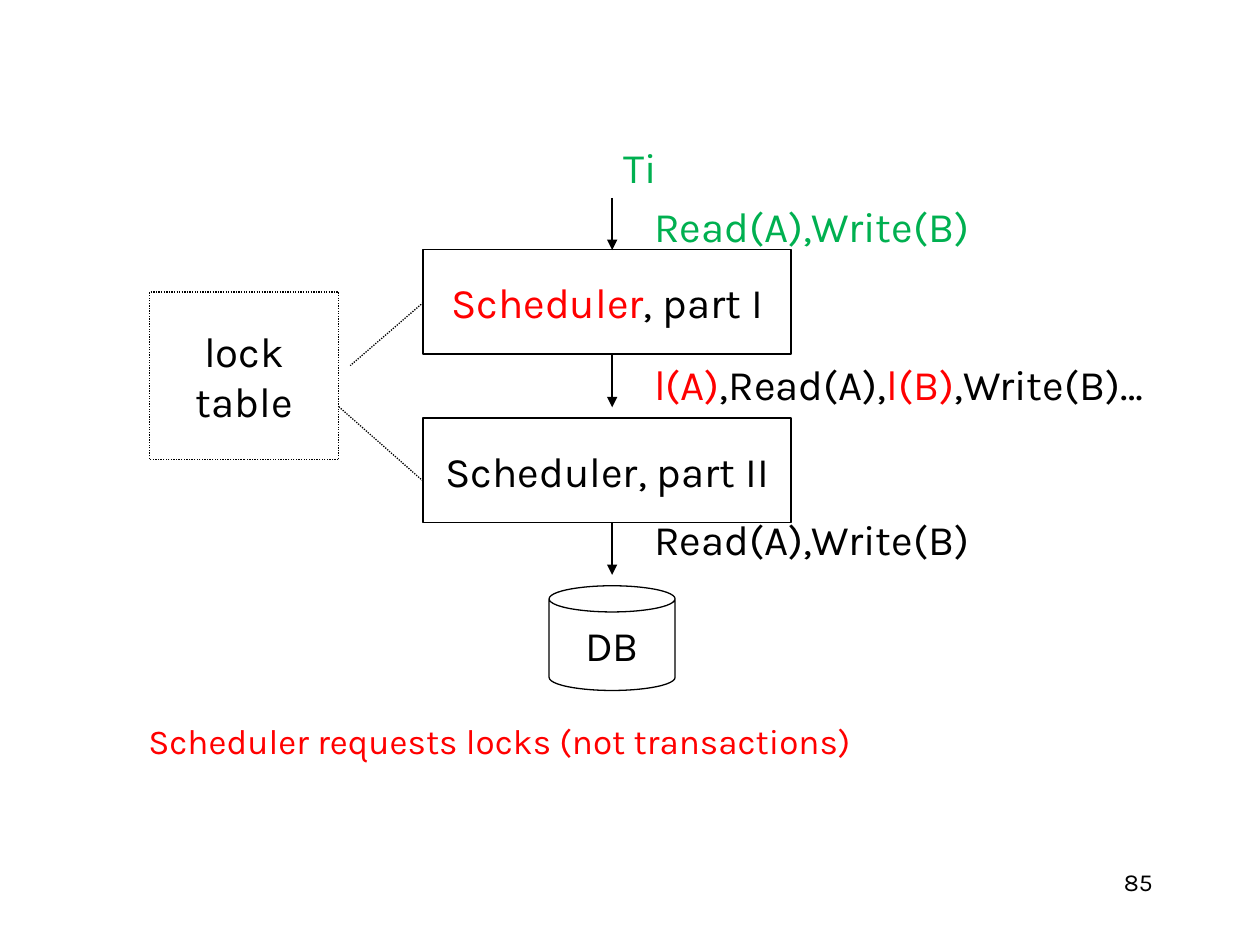
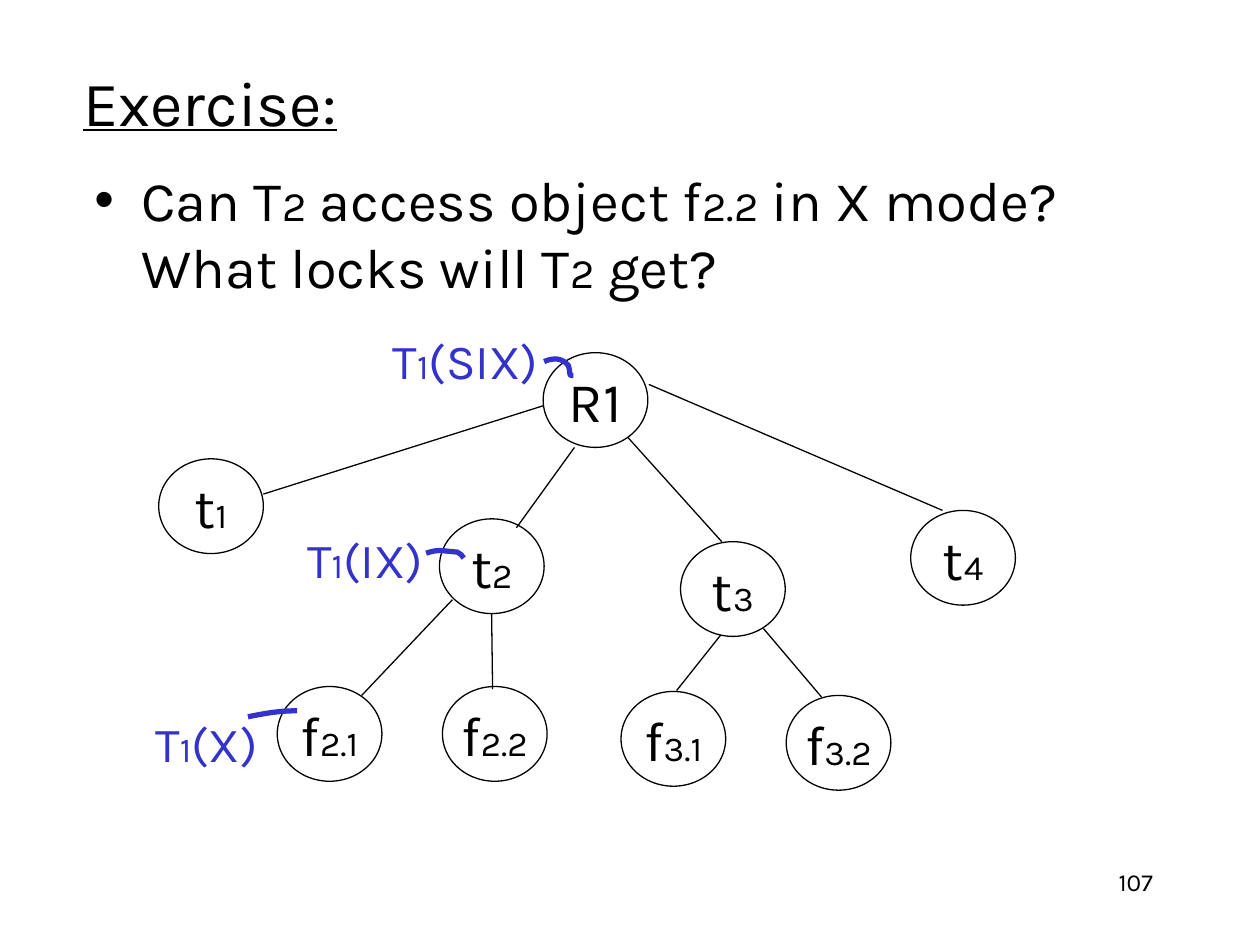
"""Build two lecture slides on locking: the scheduler and a lock-tree exercise."""
from lxml.etree import SubElement
from pptx import Presentation
from pptx.dml.color import RGBColor
from pptx.enum.dml import MSO_LINE
from pptx.enum.shapes import MSO_CONNECTOR, MSO_SHAPE
from pptx.enum.text import MSO_ANCHOR, MSO_AUTO_SIZE, PP_ALIGN
from pptx.oxml.ns import qn
from pptx.util import Cm, Pt

BLACK = RGBColor(0x00, 0x00, 0x00)
WHITE = RGBColor(0xFF, 0xFF, 0xFF)
RED = RGBColor(0xFF, 0x00, 0x00)
GREEN = RGBColor(0x00, 0xB0, 0x50)
BLUE = RGBColor(0x33, 0x33, 0xCC)

BASE_FONT = {"name": "Karla", "size": Pt(24)}
CENTRED = {"word_wrap": False, "vertical_anchor": MSO_ANCHOR.MIDDLE}
PLAIN = {"word_wrap": True, "vertical_anchor": MSO_ANCHOR.TOP}


def set_attrs(target, values):
    """Set each named attribute of the target."""
    for name, value in values.items():
        setattr(target, name, value)


def write(p, runs, color=BLACK, **font):
    """Add runs given as text or as (text, own format) to a paragraph."""
    for item in runs:
        text, own = (item, {}) if isinstance(item, str) else item
        values = {**BASE_FONT, "color": color, **font, **own}
        r = p.add_run()
        r.text = text
        r.font.color.rgb = values.pop("color")
        set_attrs(r.font, values)


def place(sp, left, top, width, height):
    """Move and size a shape in centimetres."""
    set_attrs(sp, {"left": Cm(left), "top": Cm(top),
                   "width": Cm(width), "height": Cm(height)})


def set_indent(p, margin, hanging=0, bullet=None):
    """Set the indents of a paragraph and its bullet, if any."""
    pPr = p._p.get_or_add_pPr()
    pPr.set("marL", str(Cm(margin)))
    pPr.set("indent", str(-Cm(hanging)))
    if bullet:
        SubElement(pPr, qn("a:buChar"), char=bullet)
    else:
        SubElement(pPr, qn("a:buNone"))


def fill_placeholder(sp, box, anchor):
    """Place a placeholder and return its text frame with fixed text size."""
    place(sp, *box)
    tf = sp.text_frame
    set_attrs(tf, {"word_wrap": True, "vertical_anchor": anchor,
                   "auto_size": MSO_AUTO_SIZE.NONE})
    return tf


def add_text(s, box, runs, align=PP_ALIGN.LEFT, frame=PLAIN, **font):
    """Add a text box with one paragraph."""
    tf = s.shapes.add_textbox(*map(Cm, box)).text_frame
    set_attrs(tf, frame)
    p = tf.paragraphs[0]
    p.alignment = align
    write(p, runs, **font)


def add_node(s, kind, box, lines, dash=None, **font):
    """Add a white outlined shape with centred lines of text."""
    sp = s.shapes.add_shape(kind, *map(Cm, box))
    sp.shadow.inherit = False
    sp.fill.solid()
    sp.fill.fore_color.rgb = WHITE
    style_line(sp.line, dash=dash)
    tf = sp.text_frame
    set_attrs(tf, CENTRED)
    for i, runs in enumerate(lines):
        p = tf.add_paragraph() if i else tf.paragraphs[0]
        p.alignment = PP_ALIGN.CENTER
        write(p, runs, **font)


def style_line(line, color=BLACK, width=0.75, dash=None):
    """Set colour, width and dash of a line."""
    line.color.rgb = color
    set_attrs(line, {"width": Pt(width), "dash_style": dash})


def add_line(s, x1, y1, x2, y2, dash=None, arrow=False):
    """Add a straight connector, with an arrowhead at its end on request."""
    c = s.shapes.add_connector(MSO_CONNECTOR.STRAIGHT, *map(Cm, (x1, y1, x2, y2)))
    style_line(c.line, dash=dash)
    spPr = c.element.spPr
    if arrow:
        SubElement(spPr.find(qn("a:ln")), qn("a:tailEnd"), type="triangle")
    SubElement(spPr, qn("a:effectLst"))


def bezier(a, b, c, d, steps=10):
    """Return points along a cubic curve, without its start."""
    points = []
    for i in range(1, steps + 1):
        t = i / steps
        weights = ((1 - t) ** 3, 3 * t * (1 - t) ** 2, 3 * t ** 2 * (1 - t), t ** 3)
        points.append(tuple(Cm(sum(w * q[axis] for w, q in zip(weights, (a, b, c, d))))
                            for axis in (0, 1)))
    return points


def add_stroke(s, points):
    """Draw a thick blue stroke through chained cubic curves."""
    builder = s.shapes.build_freeform(*map(Cm, points[0]))
    for i in range(0, len(points) - 1, 3):
        builder.add_line_segments(bezier(*points[i:i + 4]), close=False)
    sp = builder.convert_to_shape()
    sp.shadow.inherit = False
    sp.fill.background()
    style_line(sp.line, BLUE, 3)


def add_page_number(s, number):
    """Add the page number at the lower right."""
    add_text(s, (18.21, 17.35, 5.28, 1.27), [str(number)], PP_ALIGN.RIGHT, size=Pt(14))


def build_scheduler(s):
    """Show how the two scheduler parts pass requests on to the database."""
    title = s.shapes.title
    title.element.getparent().remove(title.element)
    red, green = {"color": RED}, {"color": GREEN}
    requests = [
        (10.77, 0, [("Ti", green)]),
        (11.38, 4.8, [("Read(A),Write(B)", green)]),
        (11.38, 62, [("l(A)", red), ",Read(A),", ("l(B)", red), ",Write(B)…"]),
        (11.38, 59.5, ["Read(A),Write(B)"]),
    ]
    tf = fill_placeholder(s.placeholders[1], (1.55, 2.72, 22.23, 11.43), MSO_ANCHOR.TOP)
    for i, (margin, before, runs) in enumerate(requests):
        p = tf.add_paragraph() if i else tf.paragraphs[0]
        set_indent(p, margin)
        p.space_before = Pt(before)
        write(p, runs)

    rect, dots = MSO_SHAPE.RECTANGLE, MSO_LINE.ROUND_DOT
    add_node(s, rect, (8.53, 5.03, 7.42, 2.11), [[("Scheduler", red), ", part I"]])
    add_node(s, rect, (8.53, 8.43, 7.42, 2.11), [["Scheduler, part II"]])
    add_node(s, MSO_SHAPE.CAN, (11.07, 11.81, 2.54, 2.11), [["DB"]])
    add_node(s, rect, (3.02, 5.89, 3.81, 3.38), [["lock"], ["table"]], dots)
    for top in (3.99, 7.16, 10.54):
        add_line(s, 12.34, top, 12.34, top + 1.05, arrow=True)
    add_line(s, 8.53, 6.1, 7.06, 7.37, dots)
    add_line(s, 6.83, 8.2, 8.53, 9.7, dots)
    add_text(s, (2.74, 14.38, 20.12, 1.12),
             ["Scheduler requests locks (not transactions)"], color=RED, size=Pt(20))


def build_exercise(s):
    """Ask which locks T2 can get in a tree where T1 holds some."""
    tf = fill_placeholder(s.shapes.title, (1.42, 1.12, 21.59, 1.83), MSO_ANCHOR.MIDDLE)
    tf.paragraphs[0].alignment = PP_ALIGN.LEFT
    write(tf.paragraphs[0], ["Exercise:"], size=Pt(36), underline=True)

    low, sub = {"size": Pt(24)}, {"size": Pt(20)}
    tf = fill_placeholder(s.placeholders[1], (1.65, 3.2, 21.59, 3.18), MSO_ANCHOR.TOP)
    p = tf.paragraphs[0]
    set_indent(p, 0.95, 0.95, "•")
    p.space_before = Pt(0)
    write(p, ["Can T", ("2", low), " access object f", ("2.2", low),
              " in X mode? What locks will T", ("2", low), " get?"], size=Pt(32))

    nodes = [
        ("R1", "", 10.95, 7.11),
        ("t", "1", 3.2, 9.25), ("t", "2", 8.86, 10.46),
        ("t", "3", 13.72, 10.92), ("t", "4", 18.36, 10.29),
        ("f", "2.1", 5.59, 13.84), ("f", "2.2", 8.92, 13.84),
        ("f", "3.1", 12.52, 13.94), ("f", "3.2", 15.85, 14.02),
    ]
    for name, index, left, top in nodes:
        runs = [name, (index, sub)] if index else [name]
        add_node(s, MSO_SHAPE.OVAL, (left, top, 2.11, 1.91), [runs], size=Pt(32))

    edges = [
        (10.95, 8.18, 5.31, 9.96), (11.58, 9.02, 10.41, 10.64),
        (12.65, 8.81, 14.55, 10.92), (13.08, 7.75, 19, 10.29),
        (9.12, 12.09, 7.29, 14.02), (9.91, 12.37, 9.93, 13.89),
        (14.53, 12.8, 13.64, 13.92), (15.39, 12.67, 16.56, 14.05),
    ]
    for edge in edges:
        add_line(s, *edge)

    locks = [("(SIX)", 7.52, 6.53, 3.73), ("(IX)", 5.77, 10.54, 3.18),
             ("(X)", 2.77, 14.25, 2.79)]
    for mode, left, top, width in locks:
        add_text(s, (left, top, width, 1.45), ["T", ("1", sub), mode],
                 PP_ALIGN.CENTER, CENTRED, color=BLUE, size=Pt(28))

    strokes = [
        [(10.97, 7.29), (11.15, 7.21), (11.33, 7.21), (11.46, 7.37),
         (11.51, 7.57), (11.46, 7.57), (11.56, 7.57)],
        [(8.59, 11.15), (8.86, 11.07), (8.86, 11.1), (9.22, 11.13),
         (9.32, 11.2), (9.27, 11.15), (9.35, 11.25)],
        [(5, 14.45), (5.36, 14.38), (5.61, 14.33), (5.99, 14.33)],
    ]
    for points in strokes:
        add_stroke(s, points)


def main():
    """Build and save the presentation."""
    prs = Presentation()
    set_attrs(prs, {"slide_width": Cm(25.4), "slide_height": Cm(19.05)})
    for build, number in ((build_scheduler, 85), (build_exercise, 107)):
        s = prs.slides.add_slide(prs.slide_layouts[1])
        build(s)
        add_page_number(s, number)
    prs.save("out.pptx")


if __name__ == "__main__":
    main()
